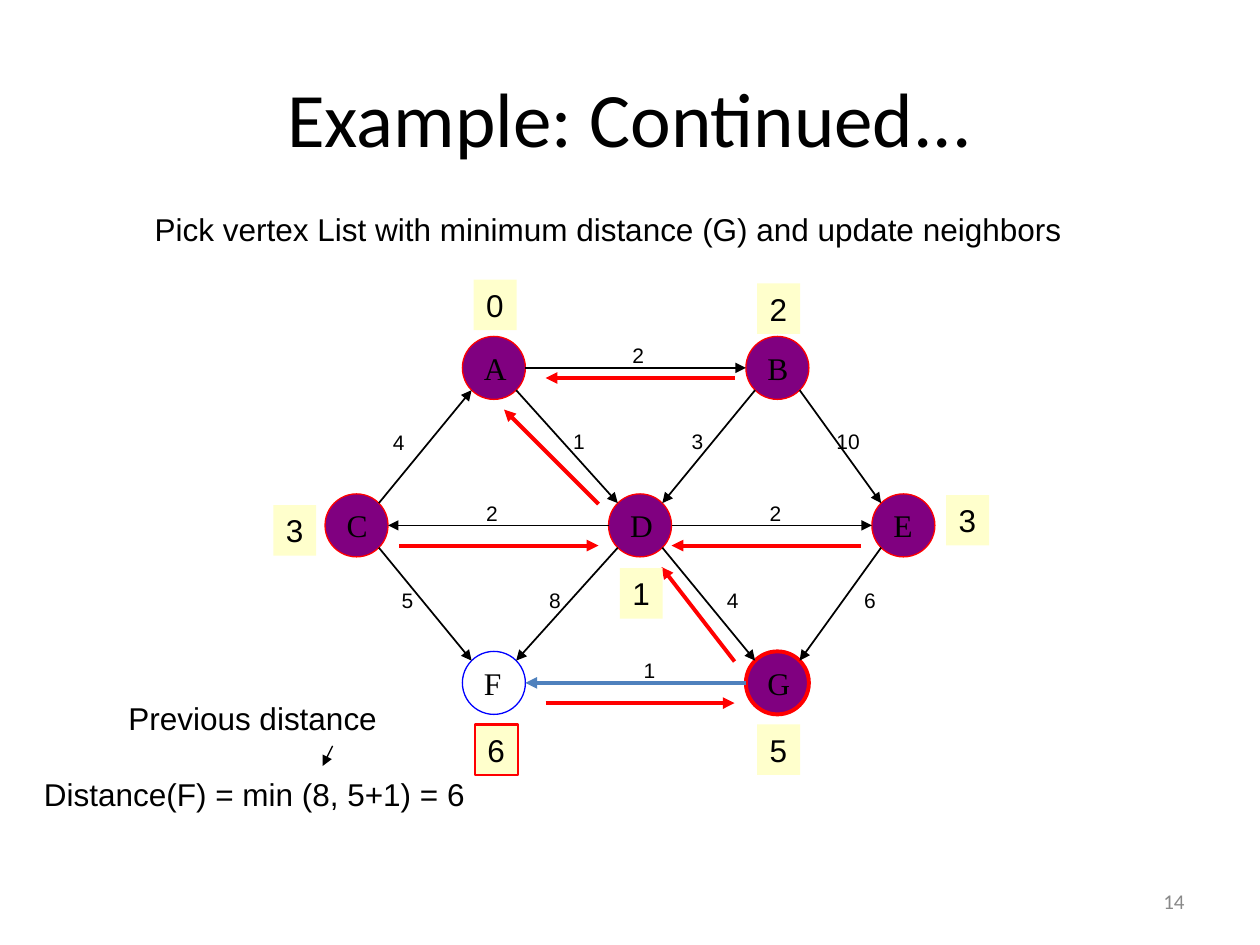
from dataclasses import dataclass
from math import sqrt

from lxml.etree import SubElement
from pptx import Presentation
from pptx.dml.color import RGBColor
from pptx.enum.shapes import MSO_CONNECTOR as Link, MSO_SHAPE as Kind
from pptx.enum.text import MSO_ANCHOR as Anchor, MSO_AUTO_SIZE as Fit, PP_ALIGN as Align
from pptx.oxml.ns import qn
from pptx.util import Inches, Pt

BLACK, RED, BLUE = "000000", "FF0000", "0000FF"
PURPLE, CREAM, STEEL, GREY = "800080", "FFFFCC", "4F81BD", "898989"
RADIUS = 0.25
Point = tuple[float, float]


@dataclass
class Node:
    x: float
    y: float
    fill: str | None = PURPLE
    line: str = RED
    width: float = 0.75


@dataclass
class Edge:
    start: str
    end: str
    cost: str
    left: float
    top: float
    color: str = BLACK
    width: float = 1


@dataclass
class Tag:
    text: str
    left: float
    top: float
    line: str | None = None


NODES = {
    "A": Node(3.92, 2.92),
    "B": Node(6.17, 2.92),
    "C": Node(2.83, 4.17),
    "D": Node(5.08, 4.17),
    "E": Node(7.17, 4.17),
    "F": Node(3.92, 5.42, None, BLUE),
    "G": Node(6.17, 5.42, width=2.25),
}
EDGES = [
    Edge("A", "B", "2", 4.92, 2.67),
    Edge("C", "A", "4", 3.02, 3.36),
    Edge("A", "D", "1", 4.45, 3.35),
    Edge("B", "D", "3", 5.39, 3.35),
    Edge("B", "E", "10", 6.54, 3.35),
    Edge("D", "C", "2", 3.76, 3.92),
    Edge("D", "E", "2", 6.01, 3.92),
    Edge("C", "F", "5", 3.09, 4.61),
    Edge("D", "F", "8", 4.26, 4.61),
    Edge("D", "G", "4", 5.67, 4.61),
    Edge("E", "G", "6", 6.76, 4.61),
    Edge("G", "F", "1", 5.01, 5.17, STEEL, 2.25),
]
TAGS = [
    Tag("0", 3.76, 2.22),
    Tag("2", 6.01, 2.25),
    Tag("3", 2.17, 4.01),
    Tag("3", 7.51, 3.93),
    Tag("1", 4.92, 4.51),
    Tag("6", 3.77, 5.75, RED),
    Tag("5", 6.01, 5.75),
]
# Arrows back to each vertex's predecessor
BACK = [
    ((4.75, 4), (4, 3.25)),
    ((5.83, 3), (4.33, 3)),
    ((6.83, 4.33), (5.33, 4.33)),
    ((5.83, 5.25), (5.25, 4.5)),
    ((4.33, 5.58), (5.83, 5.58)),
    ((3.17, 4.33), (4.75, 4.33)),
]


def rgb(code: str) -> RGBColor:
    return RGBColor.from_string(code)


def write(shape, text: str, size: float, font: str = "Arial", color: str = BLACK,
          align=Align.LEFT, anchor=Anchor.TOP, wrap: bool = False,
          fit=Fit.NONE) -> None:
    frame = shape.text_frame
    frame.word_wrap = wrap
    frame.auto_size = fit
    frame.vertical_anchor = anchor
    para = frame.paragraphs[0]
    para.alignment = align
    run = para.add_run()
    run.text = text
    run.font.size = Pt(size)
    run.font.name = font
    run.font.color.rgb = rgb(color)


def add_text(slide, text: str, left: float, top: float, width: float,
             height: float, size: float, **style) -> None:
    box = slide.shapes.add_textbox(
        Inches(left), Inches(top), Inches(width), Inches(height))
    write(box, text, size, **style)


def add_block(slide, kind, left: float, top: float, width: float, height: float,
              fill: str | None, line: str | None, weight: float):
    shape = slide.shapes.add_shape(
        kind, Inches(left), Inches(top), Inches(width), Inches(height))
    shape.shadow.inherit = False
    if fill:
        shape.fill.solid()
        shape.fill.fore_color.rgb = rgb(fill)
    else:
        shape.fill.background()
    if line:
        shape.line.color.rgb = rgb(line)
        shape.line.width = Pt(weight)
    else:
        shape.line.fill.background()
    return shape


def add_arrow(slide, start: Point, end: Point, color: str, width: float) -> None:
    arrow = slide.shapes.add_connector(
        Link.STRAIGHT, *(Inches(v) for v in (*start, *end)))
    arrow.line.color.rgb = rgb(color)
    arrow.line.width = Pt(width)
    SubElement(arrow.line._get_or_add_ln(), qn("a:tailEnd"), type="triangle")
    SubElement(arrow._element.spPr, qn("a:effectLst"))


def rim(node: Node, other: Node) -> Point:
    """Point on the node's circle, at a multiple of 45 degrees, facing the other."""
    dx = (other.x > node.x) - (other.x < node.x)
    dy = (other.y > node.y) - (other.y < node.y)
    step = RADIUS / sqrt(dx * dx + dy * dy)
    return node.x + dx * step, node.y + dy * step


def add_edge(slide, edge: Edge) -> None:
    start, end = NODES[edge.start], NODES[edge.end]
    add_arrow(slide, rim(start, end), rim(end, start), edge.color, edge.width)
    width = 0.2 + 0.1 * len(edge.cost)
    add_text(slide, edge.cost, edge.left, edge.top, width, 0.3, 12,
             anchor=Anchor.MIDDLE, fit=Fit.SHAPE_TO_FIT_TEXT)


def add_node(slide, name: str, node: Node) -> None:
    disc = add_block(slide, Kind.OVAL, node.x - RADIUS, node.y - RADIUS,
                     2 * RADIUS, 2 * RADIUS, node.fill, node.line, node.width)
    write(disc, name, 18, "Times New Roman", anchor=Anchor.MIDDLE)


def add_tag(slide, tag: Tag) -> None:
    box = add_block(slide, Kind.RECTANGLE, tag.left, tag.top, 0.34, 0.4,
                    CREAM, tag.line, 1.25)
    write(box, tag.text, 18)


def main() -> None:
    deck = Presentation()
    deck.slide_width, deck.slide_height = Inches(10), Inches(7.5)
    slide = deck.slides.add_slide(deck.slide_layouts[6])

    add_text(slide, "14", 7.17, 6.95, 2.33, 0.4, 12, font="Calibri", color=GREY,
             align=Align.RIGHT, anchor=Anchor.MIDDLE, wrap=True)
    add_text(slide, "Example: Continued...", 0.5, 0.3, 9, 1.25, 44, font="Calibri",
             align=Align.CENTER, anchor=Anchor.MIDDLE, wrap=True)
    add_text(slide, "Pick vertex List with minimum distance (G) and update neighbors",
             1.13, 1.62, 7.4, 0.4, 18, fit=Fit.SHAPE_TO_FIT_TEXT)

    for name, node in NODES.items():
        add_node(slide, name, node)
    for edge in EDGES:
        add_edge(slide, edge)
    for start, end in BACK:
        add_arrow(slide, start, end, RED, 2.25)
    for tag in TAGS:
        add_tag(slide, tag)

    add_text(slide, "Previous distance", 0.92, 5.5, 2.25, 0.4, 18, wrap=True)
    add_arrow(slide, (2.64, 5.92), (2.56, 6.08), BLACK, 0.75)
    add_text(slide, "Distance(F) = min (8, 5+1) = 6", 0.25, 6.1, 3.92, 0.4, 18,
             wrap=True)
    deck.save("out.pptx")


if __name__ == "__main__":
    main()
